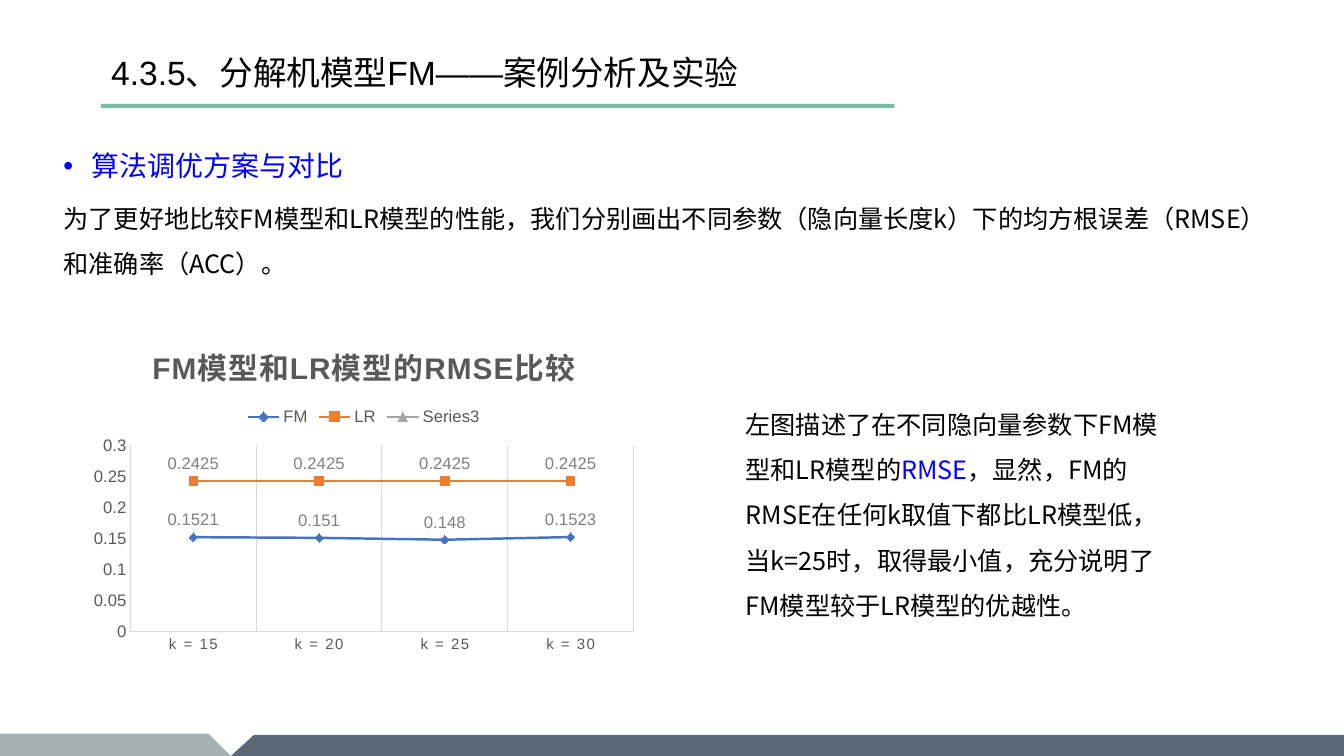
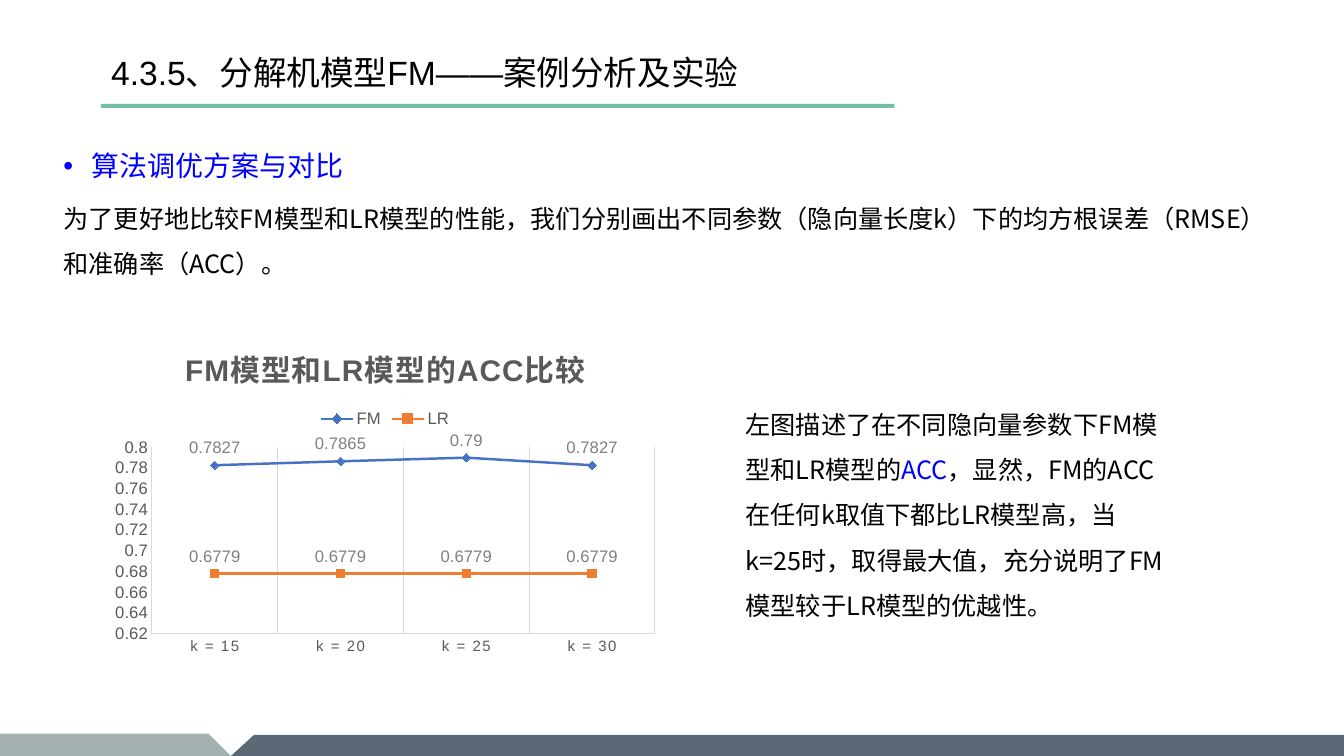
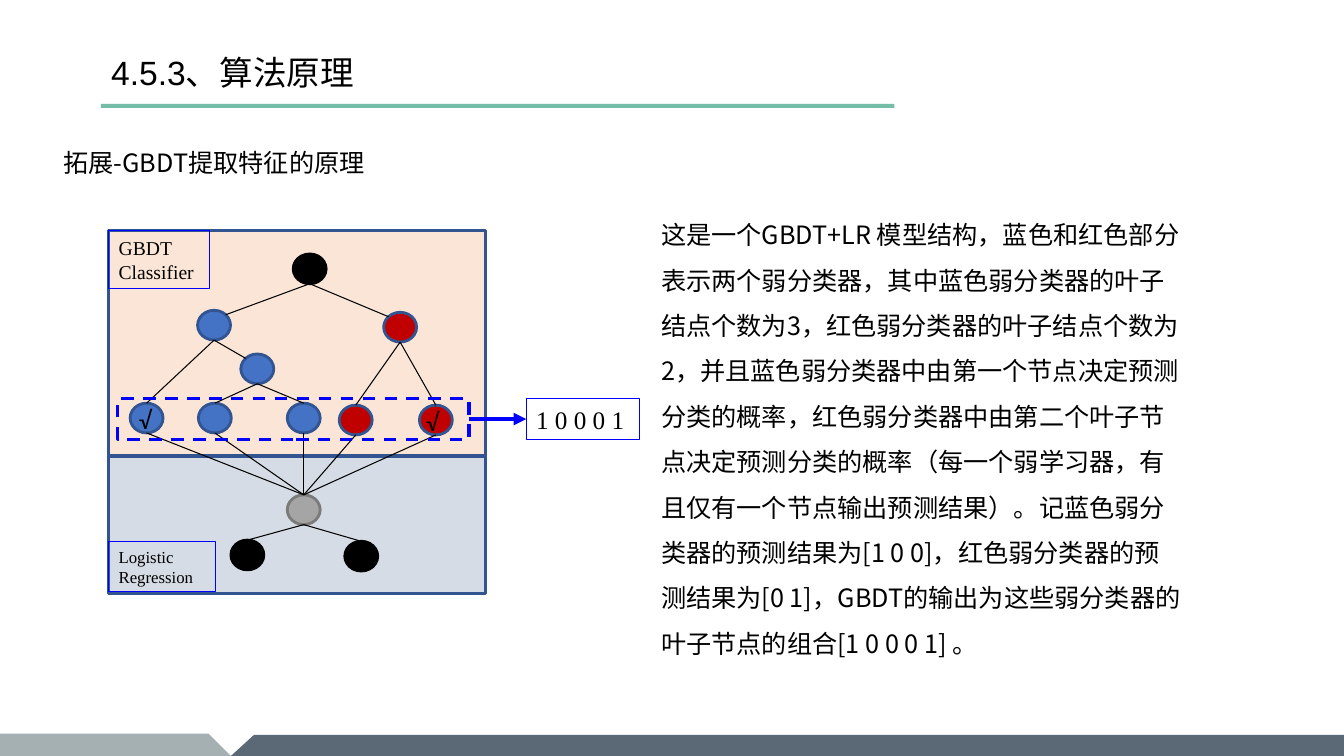
import lxml.etree
import pptx
import pptx.chart.data
import pptx.dml.color
import pptx.enum.chart
import pptx.enum.dml
import pptx.enum.shapes
import pptx.enum.text
import pptx.oxml.ns
import pptx.util

SANS, TITLE_FONT, SERIF, SYMBOL = "Noto Sans CJK SC", "Arial", "Times New Roman", "Calibri"
BLACK, BLUE, TEAL = "000000", "0000FF", "75BDA7"
NODE_BLUE, NODE_RED, NODE_GRAY, OUTLINE = "4472C4", "C00000", "A5A5A5", "325491"
CHART_TEXT, CHART_LINE, CHART_LABEL = "595959", "D9D9D9", "808080"
SLIDE_WIDTH, SLIDE_HEIGHT = 33.87, 19.05
NODE_WIDTH, NODE_HEIGHT = 0.83, 0.75
SHAPE = pptx.enum.shapes.MSO_SHAPE
ANCHOR = pptx.enum.text.MSO_ANCHOR
MARKER = pptx.enum.chart.XL_MARKER_STYLE
SERIES_STYLES = [
    (NODE_BLUE, MARKER.DIAMOND),
    ("ED7D31", MARKER.SQUARE),
    (NODE_GRAY, MARKER.TRIANGLE),
]


def color(hex_string):
    return pptx.dml.color.RGBColor.from_string(hex_string)


def lengths(*values):
    return [pptx.util.Cm(value) for value in values]


def add_element(parent, tag, **attributes):
    name = pptx.oxml.ns.qn(tag)
    return lxml.etree.SubElement(parent, name, attributes)


def paint(fill, hex_string, opacity=None):
    """Fill solidly, or leave unfilled when no colour is given."""
    if hex_string is None:
        fill.background()
        return
    fill.solid()
    fill.fore_color.rgb = color(hex_string)
    if opacity is not None:
        solid = fill._xPr.find(pptx.oxml.ns.qn("a:solidFill"))
        add_element(solid[0], "a:alpha", val=str(opacity * 1000))


def outline(line, hex_string, width):
    if hex_string is None:
        line.fill.background()
        return
    line.color.rgb = color(hex_string)
    line.width = pptx.util.Pt(width)


def style_font(font, size, hex_string, name=TITLE_FONT):
    font.size = pptx.util.Pt(size)
    font.color.rgb = color(hex_string)
    font.name = name


class Deck:
    """Holds the shared style and the slide being built."""

    def __init__(self):
        self.presentation = pptx.Presentation()
        self.presentation.slide_width, self.presentation.slide_height = lengths(
            SLIDE_WIDTH, SLIDE_HEIGHT)
        self.slide = None

    def new_slide(self, title, body):
        layout = self.presentation.slide_layouts[1]
        self.slide = self.presentation.slides.add_slide(layout)
        bottom = SLIDE_HEIGHT
        self.band([(5.82, bottom), (6.4, 18.52), (SLIDE_WIDTH, 18.52),
                   (SLIDE_WIDTH, bottom)], "243848", 75)
        self.band([(0, 18.49), (5.26, 18.49), (5.82, bottom), (0, bottom)], "7A8C8E", 68)
        self.shape(SHAPE.RECTANGLE, (2.54, 2.62, 20, 0.1), TEAL)
        heading, content = self.slide.placeholders
        self.placeholder(heading, (2.67, 0.48, 19.86, 2.18), ANCHOR.MIDDLE)
        self.paragraph(heading.text_frame.paragraphs[0], [(title, BLACK)], 24,
                       TITLE_FONT, spacing=1.5, indent=1.9)
        self.placeholder(content, (1.47, 3.2, 30.6, 14.27), ANCHOR.TOP)
        for index, (text, size, hex_string, bullet) in enumerate(body):
            frame = content.text_frame
            paragraph = frame.add_paragraph() if index else frame.paragraphs[0]
            self.paragraph(paragraph, [(text, hex_string)], size, spacing=1.5,
                           before=4 if index else 0, indent=0.71 if bullet else 0,
                           bullet=bullet)

    def placeholder(self, shape, box, anchor):
        shape.left, shape.top, shape.width, shape.height = lengths(*box)
        frame = shape.text_frame
        frame.auto_size = pptx.enum.text.MSO_AUTO_SIZE.NONE
        frame.vertical_anchor = anchor
        frame.margin_left, frame.margin_top, frame.margin_right, frame.margin_bottom = (
            lengths(0.13, 0.13, 0.13, 0.13))

    def paragraph(self, paragraph, runs, size, font=SANS, spacing=1.0, before=0,
                  indent=0, bullet=None):
        """Write (text, colour) runs; indent is hanging."""
        paragraph.alignment = pptx.enum.text.PP_ALIGN.LEFT
        paragraph.line_spacing = spacing
        paragraph.space_before = pptx.util.Pt(before)
        properties = paragraph._p.get_or_add_pPr()
        hanging = pptx.util.Cm(indent)
        properties.set("marL", str(hanging))
        properties.set("indent", str(-hanging))
        if bullet:
            add_element(properties, "a:buFont", typeface="Arial")
            add_element(properties, "a:buChar", char=bullet)
        else:
            add_element(properties, "a:buNone")
        for text, hex_string in runs:
            run = paragraph.add_run()
            run.text = text
            style_font(run.font, size, hex_string, font)
            add_element(run._r.get_or_add_rPr(), "a:ea", typeface=SANS)

    def band(self, points, fill, opacity):
        corners = [tuple(lengths(*point)) for point in points]
        builder = self.slide.shapes.build_freeform(*corners[0])
        builder.add_line_segments(corners[1:], close=True)
        shape = builder.convert_to_shape()
        shape.shadow.inherit = False
        paint(shape.fill, fill, opacity)
        outline(shape.line, None, 0)

    def shape(self, kind, box, fill=None, line=None, width=2.0):
        shape = self.slide.shapes.add_shape(kind, *lengths(*box))
        shape.shadow.inherit = False
        paint(shape.fill, fill)
        outline(shape.line, line, width)
        return shape

    def label(self, box, lines, size):
        """Blue framed box with one paragraph for each line."""
        shape = self.shape(SHAPE.RECTANGLE, box, None, BLUE, 0.75)
        frame = shape.text_frame
        frame.word_wrap = True
        frame.vertical_anchor = ANCHOR.MIDDLE
        for index, line in enumerate(lines):
            paragraph = frame.add_paragraph() if index else frame.paragraphs[0]
            self.paragraph(paragraph, [(line, BLACK)], size, SERIF)
        return shape

    def text(self, box, runs, font=SANS, spacing=1.5):
        frame = self.slide.shapes.add_textbox(*lengths(*box)).text_frame
        frame.word_wrap = True
        self.paragraph(frame.paragraphs[0], runs, 18, font, spacing)

    def line(self, start, end, hex_string=BLACK, width=0.75):
        connector = self.slide.shapes.add_connector(
            pptx.enum.shapes.MSO_CONNECTOR.STRAIGHT, *lengths(*start, *end))
        outline(connector.line, hex_string, width)
        add_element(connector._element.spPr, "a:effectLst")
        return connector

    def arrow(self, source, target):
        """Arrow from the right side of one rectangle to the left side of another."""
        connector = self.line((0, 0), (1, 1), BLUE, 3)
        connector.begin_connect(source, 3)
        connector.end_connect(target, 1)
        add_element(connector.line._get_or_add_ln(), "a:tailEnd", type="triangle")

    def line_chart(self, box, title, series, scale):
        """Scale is the value axis minimum, maximum and step."""
        data = pptx.chart.data.CategoryChartData()
        data.categories = [f"k = {k}" for k in (15, 20, 25, 30)]
        for name, values in series.items():
            data.add_series(name, values)
        chart = self.slide.shapes.add_chart(
            pptx.enum.chart.XL_CHART_TYPE.LINE_MARKERS, *lengths(*box), data).chart
        style_font(chart.font, 10, BLACK)
        chart.has_title = True
        chart.chart_title.text_frame.text = title
        chart.chart_title.include_in_layout = False
        run = chart.chart_title.text_frame.paragraphs[0].runs[0]
        style_font(run.font, 21.3, CHART_TEXT)
        run.font.bold = True
        run._r.get_or_add_rPr().set("spc", "100")
        chart.has_legend = True
        chart.legend.position = pptx.enum.chart.XL_LEGEND_POSITION.TOP
        chart.legend.include_in_layout = False
        style_font(chart.legend.font, 11.9, CHART_TEXT)
        self.axes(chart, scale)
        for plotted, (hex_string, marker) in zip(chart.plots[0].series, SERIES_STYLES):
            self.series(plotted, hex_string, marker)

    def axes(self, chart, scale):
        for axis, size in ((chart.category_axis, 10.7), (chart.value_axis, 11.9)):
            axis.major_tick_mark = pptx.enum.chart.XL_TICK_MARK.NONE
            axis.minor_tick_mark = pptx.enum.chart.XL_TICK_MARK.NONE
            outline(axis.format.line, CHART_LINE, 0.75)
            style_font(axis.tick_labels.font, size, CHART_TEXT)
        categories, values = chart.category_axis, chart.value_axis
        categories.has_major_gridlines = True
        outline(categories.major_gridlines.format.line, CHART_LINE, 0.75)
        categories._element.xpath(".//a:defRPr")[0].set("spc", "120")
        values.has_major_gridlines = False
        values.minimum_scale, values.maximum_scale, values.major_unit = scale
        values.tick_labels.number_format = "General"
        values.tick_labels.number_format_is_linked = False

    def series(self, series, hex_string, marker):
        series.smooth = False
        outline(series.format.line, hex_string, 1.75)
        series.marker.style = marker
        series.marker.size = 6
        paint(series.marker.format.fill, hex_string)
        outline(series.marker.format.line, hex_string, 0.75)
        labels = series.data_labels
        labels.show_value = True
        labels.position = pptx.enum.chart.XL_LABEL_POSITION.ABOVE
        style_font(labels.font, 11.9, CHART_LABEL)

    def tree(self, nodes, edges):
        """Draw nodes {name: (left, top, fill, line)} and (from, site, to, site) edges."""
        sites = {"top": (0.5, 0), "bottom": (0.5, 1),
                 "top left": (0.15, 0.15), "top right": (0.85, 0.15)}

        def point(name, site):
            left, top = nodes[name][:2]
            across, down = sites[site]
            return left + across * NODE_WIDTH, top + down * NODE_HEIGHT

        for left, top, fill, line in nodes.values():
            self.shape(SHAPE.OVAL, (left, top, NODE_WIDTH, NODE_HEIGHT), fill, line)
        for parent, parent_site, child, child_site in edges:
            self.line(point(parent, parent_site), point(child, child_site))


def comparison_slide(deck, metric, conclusion, chart_box, series, scale):
    deck.new_slide("4.3.5、分解机模型FM——案例分析及实验", [
        ("算法调优方案与对比", 20, BLUE, "•"),
        ("为了更好地比较FM模型和LR模型的性能，我们分别画出不同参数（隐向量长度k）"
         "下的均方根误差（RMSE）和准确率（ACC）。", 18, BLACK, None),
    ])
    deck.line_chart(chart_box, f"FM模型和LR模型的{metric}比较", series, scale)
    deck.text((18.54, 9.8, 11.25, 6.02), [
        ("左图描述了在不同隐向量参数下FM模型和LR模型的", BLACK),
        (metric, BLUE),
        (f"，显然，FM的{metric}在任何k取值下都比LR模型{conclusion}，"
         "充分说明了FM模型较于LR模型的优越性。", BLACK),
    ])


def principle_slide(deck):
    deck.new_slide("4.5.3、算法原理", [("拓展-GBDT提取特征的原理", 18, BLACK, None)])
    deck.shape(SHAPE.RECTANGLE, (2.74, 11.5, 9.5, 3.45), "D6DCE5", OUTLINE)
    deck.shape(SHAPE.RECTANGLE, (2.74, 5.81, 9.5, 5.67), "FBE5D6", OUTLINE)
    blue, red, black = (NODE_BLUE, OUTLINE), (NODE_RED, OUTLINE), (BLACK, BLACK)
    nodes = {
        "root": (7.39, 6.4, *black),
        "red root": (9.67, 7.87, *red),
        "blue root": (4.98, 7.82, *blue),
        "blue inner": (6.07, 8.92, *blue),
        "leaf 1": (3.28, 10.16, *blue),
        "leaf 2": (5, 10.16, *blue),
        "leaf 3": (7.24, 10.16, *blue),
        "leaf 4": (8.55, 10.21, *red),
        "leaf 5": (10.57, 10.21, *red),
        "regression": (7.24, 12.47, NODE_GRAY, "7A7A7A"),
        "output 1": (5.82, 13.61, *black),
        "output 2": (8.69, 13.64, *black),
    }
    edges = [
        ("root", "bottom", "blue root", "top right"),
        ("root", "bottom", "red root", "top left"),
        ("blue root", "bottom", "blue inner", "top left"),
    ]
    children = {"blue root": ["leaf 1"], "blue inner": ["leaf 2", "leaf 3"],
                "red root": ["leaf 4", "leaf 5"], "regression": ["output 1", "output 2"]}
    edges += [(parent, "bottom", child, "top")
              for parent, names in children.items() for child in names]
    edges += [("regression", "top", f"leaf {number}", "bottom") for number in range(1, 6)]
    deck.tree(nodes, edges)
    leaves = deck.shape(SHAPE.RECTANGLE, (2.97, 10.05, 8.85, 1.02), None, BLUE, 2.25)
    leaves.line.dash_style = pptx.enum.dml.MSO_LINE.DASH
    code = deck.label((13.26, 10.05, 2.85, 1.02), ["1 0 0 0 1"], 18)
    deck.label((2.74, 5.82, 2.53, 1.45), ["GBDT", "Classifier"], 14)
    deck.label((2.74, 13.64, 2.69, 1.27), ["Logistic", "Regression"], 12)
    for left, top in ((3.25, 10.06), (10.49, 10.11)):
        deck.text((left, top, 0.61, 1.02), [("√", BLACK)], SYMBOL, 1.0)
    deck.arrow(leaves, code)
    deck.text((16.41, 5.03, 13.69, 11.79), [(
        "这是一个GBDT+LR 模型结构，蓝色和红色部分表示两个弱分类器，"
        "其中蓝色弱分类器的叶子结点个数为3，红色弱分类器的叶子结点个数为2，"
        "并且蓝色弱分类器中由第一个节点决定预测分类的概率，"
        "红色弱分类器中由第二个叶子节点决定预测分类的概率"
        "（每一个弱学习器，有且仅有一个节点输出预测结果）。"
        "记蓝色弱分类器的预测结果为[1 0 0]，红色弱分类器的预测结果为[0 1]，"
        "GBDT的输出为这些弱分类器的叶子节点的组合[1 0 0 0 1] 。", BLACK)])


def main():
    deck = Deck()
    comparison_slide(
        deck, "RMSE", "低，当k=25时，取得最小值", (2.08, 8.18, 14.17, 8.43),
        {"FM": [0.1521, 0.151, 0.148, 0.1523], "LR": [0.2425] * 4, "Series3": [None] * 4},
        (0, 0.3, 0.05))
    comparison_slide(
        deck, "ACC", "高，当k=25时，取得最大值", (2.62, 8.23, 14.17, 8.43),
        {"FM": [0.7827, 0.7865, 0.79, 0.7827], "LR": [0.6779] * 4},
        (0.62, 0.8, 0.02))
    principle_slide(deck)
    deck.presentation.save("out.pptx")


if __name__ == "__main__":
    main()
